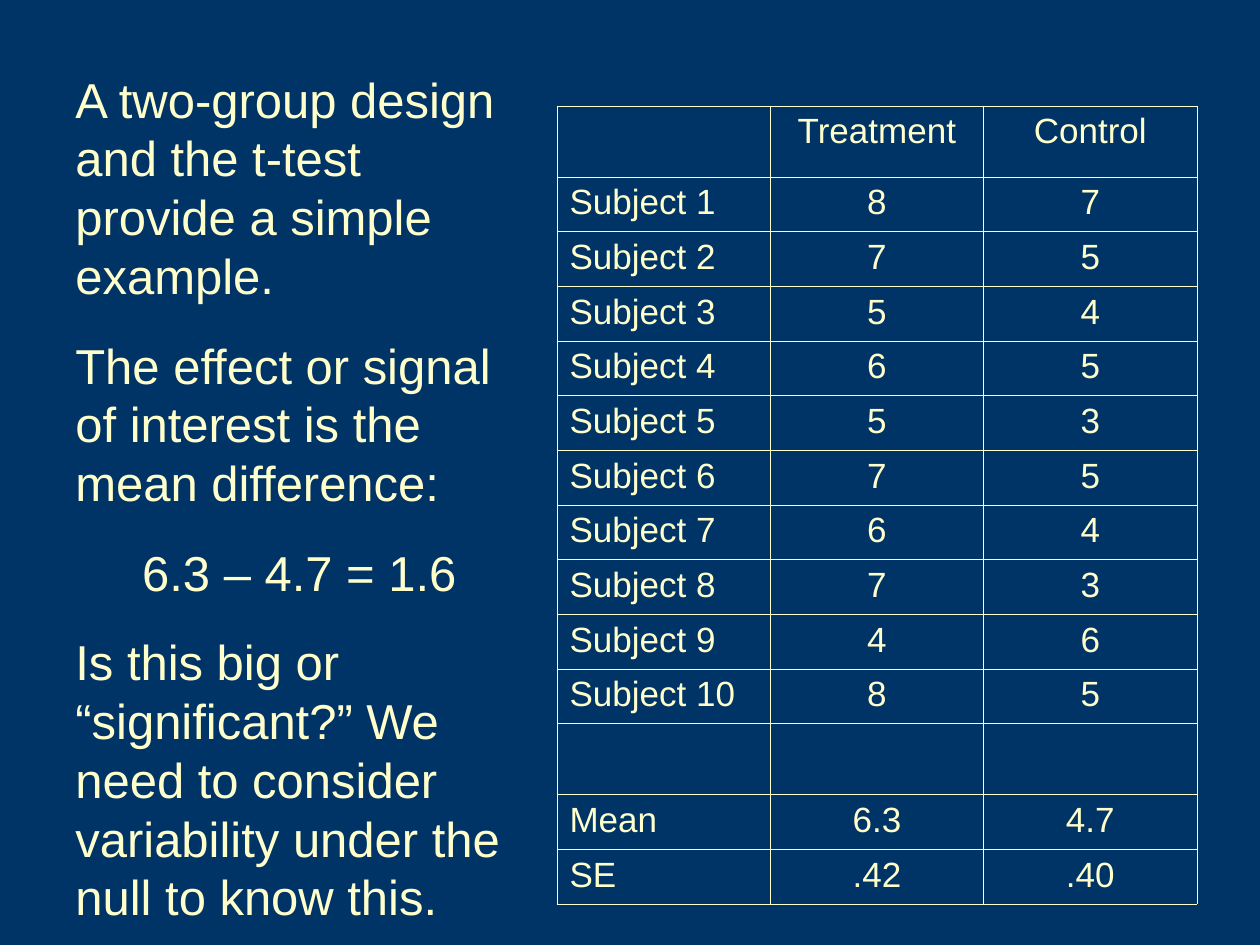
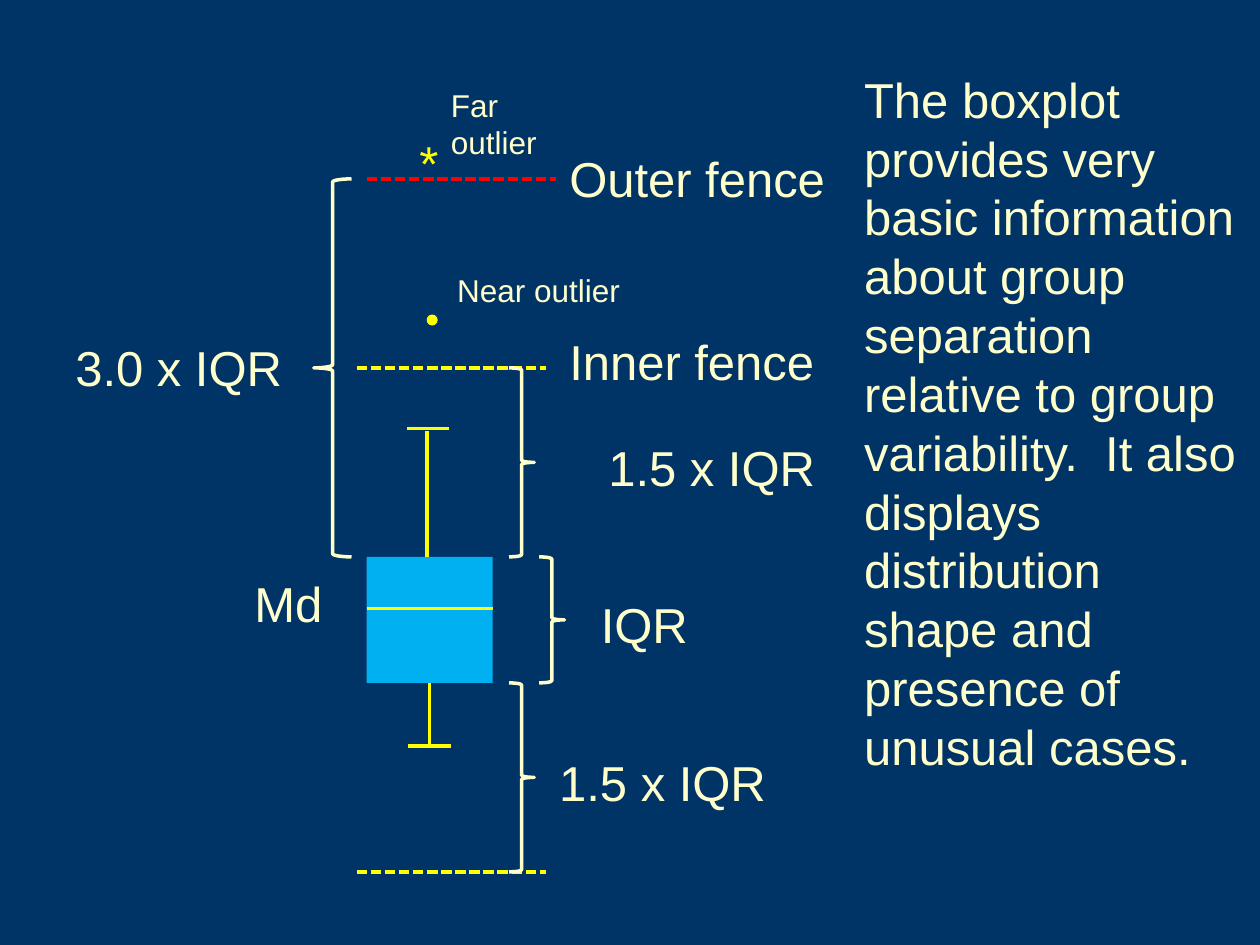
"""Build two slides: a two-group data table and an annotated boxplot."""
from lxml import etree
from pptx import Presentation
from pptx import util as u
from pptx.dml.color import RGBColor
from pptx.enum import dml, shapes, text
from pptx.oxml import ns

COLORS = {"navy": "003366", "cream": "FFFFCC", "yellow": "FFFF00", "red": "FF0000", "sky": "00B0F0"}
FONT = "Arial"
BODY, CELL, NOTE = 28, 20, 18
WIDTH, HEIGHT = 10, 7.5
LEFT, CENTER = text.PP_ALIGN.LEFT, text.PP_ALIGN.CENTER

ARGUMENT = [
    ("A two-group design and the t-test provide a simple example.", LEFT),
    ("The effect or signal of interest is the mean difference:", LEFT),
    ("6.3 – 4.7 = 1.6", CENTER),
    ("Is this big or “significant?” We need to consider variability under the null to know this.", LEFT),
]
TREATMENT = [8, 7, 5, 6, 5, 7, 6, 7, 4, 8]
CONTROL = [7, 5, 4, 5, 3, 5, 4, 3, 6, 5]
SCORES = [
    ("", "Treatment", "Control"),
    *((f"Subject {n}", str(t), str(c)) for n, (t, c) in enumerate(zip(TREATMENT, CONTROL), 1)),
    ("", "", ""),
    ("Mean", "6.3", "4.7"),
    ("SE", ".42", ".40"),
]
TABLE_AREA = (4.42, 0.84, 5.08, 6.34)
TALL_ROW = 1.3

SUMMARY = [(
    "The boxplot provides very basic information about group separation relative to group variability.  "
    "It also displays distribution shape and presence of unusual cases.", LEFT)]

IQR = 1
Q3 = 4.42
Q1 = Q3 + IQR
MEDIAN = 4.83
INNER, OUTER, LOWER = Q3 - 1.5 * IQR, Q3 - 3 * IQR, Q1 + 1.5 * IQR
BOX_LEFT, BOX_WIDTH = 2.91, 1
FENCE_WIDTH = 1.5

LINES = [
    (BOX_LEFT, MEDIAN, BOX_LEFT + BOX_WIDTH, MEDIAN, "yellow", False),
    (3.39, Q3, 3.39, 3.42, "yellow", False),
    (3.23, 3.4, 3.56, 3.4, "yellow", False),
    (3.41, Q1, 3.41, 5.92, "yellow", False),
    (3.24, 5.92, 3.58, 5.92, "yellow", False),
    *((left, y, left + FENCE_WIDTH, y, color, True) for left, y, color in [
        (2.83, INNER, "yellow"), (BOX_LEFT, OUTER, "red"), (2.83, LOWER, "yellow")]),
]
RIGHT_BRACE, LEFT_BRACE = shapes.MSO_SHAPE.RIGHT_BRACE, shapes.MSO_SHAPE.LEFT_BRACE
BRACES = [
    (RIGHT_BRACE, 4.04, INNER, 0.2, Q3),
    (RIGHT_BRACE, 4.04, Q1, 0.2, LOWER),
    (RIGHT_BRACE, 4.28, Q3, 0.2, Q1),
    (LEFT_BRACE, 2.49, OUTER, 0.3, Q3),
]
LABELS = [
    ("IQR", 4.67, 4.67, 0.89, BODY, "cream"),
    ("1.5 x IQR", 4.73, 3.42, 1.84, BODY, "cream"),
    ("3.0 x IQR", 0.5, 2.63, 1.84, BODY, "cream"),
    ("*", 3.23, 1, 0.35, BODY, "yellow"),
    ("Md", 1.92, 4.5, 0.74, BODY, "cream"),
    ("1.5 x IQR", 4.34, 5.92, 1.84, BODY, "cream"),
    ("Inner fence", 4.42, 2.58, 2.14, BODY, "cream"),
    ("Outer fence", 4.42, 1.13, 2.23, BODY, "cream"),
    ("Near outlier", 3.53, 2.1, 1.49, NOTE, "cream"),
    ("Far outlier", 3.48, 0.63, 1.32, NOTE, "cream"),
]


def rgb(name):
    return RGBColor.from_string(COLORS[name])


def inches(*lengths):
    return [u.Inches(length) for length in lengths]


def add_slide(deck):
    slide = deck.slides.add_slide(deck.slide_layouts[6])
    slide.background.fill.solid()
    slide.background.fill.fore_color.rgb = rgb("navy")
    return slide


def style(paragraph, size, color="cream", align=LEFT):
    paragraph.alignment = align
    for run in paragraph.runs:
        run.font.name, run.font.size = FONT, u.Pt(size)
        run.font.color.rgb = rgb(color)


def add_text(slide, area, paragraphs, size=BODY, color="cream", wrap=True):
    frame = slide.shapes.add_textbox(*inches(*area)).text_frame
    frame.word_wrap = wrap
    frame.auto_size = text.MSO_AUTO_SIZE.SHAPE_TO_FIT_TEXT
    frame.text = "\n".join(words for words, _ in paragraphs)
    for index, (paragraph, (_, align)) in enumerate(zip(frame.paragraphs, paragraphs)):
        style(paragraph, size, color, align)
        if index:
            paragraph.space_before = u.Pt(17.5)


def add_borders(cell):
    properties = cell._tc.get_or_add_tcPr()
    for position, side in enumerate(("lnL", "lnR", "lnT", "lnB")):
        border = etree.Element(ns.qn(f"a:{side}"), w=str(u.Pt(0.45)))
        fill = etree.SubElement(border, ns.qn("a:solidFill"))
        etree.SubElement(fill, ns.qn("a:srgbClr"), val=COLORS["cream"])
        properties.insert(position, border)


def add_scores(slide):
    columns = len(SCORES[0])
    table = slide.shapes.add_table(len(SCORES), columns, *inches(*TABLE_AREA)).table
    table.first_row = table.horz_banding = False
    shares = [1 if row[0] else TALL_ROW for row in SCORES]
    for column in table.columns:
        column.width = u.Inches(TABLE_AREA[2] / columns)
    for row, share, values in zip(table.rows, shares, SCORES):
        row.height = u.Inches(TABLE_AREA[3] * share / sum(shares))
        for index, (cell, value) in enumerate(zip(row.cells, values)):
            cell.text = value
            cell.fill.background()
            style(cell.text_frame.paragraphs[0], CELL, align=CENTER if index else LEFT)
            add_borders(cell)


def add_line(slide, x1, y1, x2, y2, color, dashed):
    line = slide.shapes.add_connector(shapes.MSO_CONNECTOR.STRAIGHT, *inches(x1, y1, x2, y2))
    line.line.color.rgb, line.line.width = rgb(color), u.Pt(2)
    if dashed:
        line.line.dash_style = dml.MSO_LINE.SQUARE_DOT
    etree.SubElement(line._element.spPr, ns.qn("a:effectLst"))


def add_shape(slide, preset, area, fill=None, line=None, weight=2):
    shape = slide.shapes.add_shape(preset, *inches(*area))
    shape.shadow.inherit = False
    if fill:
        shape.fill.solid()
        shape.fill.fore_color.rgb = rgb(fill)
    else:
        shape.fill.background()
    if line:
        shape.line.color.rgb, shape.line.width = rgb(line), u.Pt(weight)
    else:
        shape.line.fill.background()


def add_boxplot(slide):
    add_shape(slide, shapes.MSO_SHAPE.RECTANGLE, (BOX_LEFT, Q3, BOX_WIDTH, IQR), fill="sky")
    for line in LINES:
        add_line(slide, *line)
    for preset, left, top, width, bottom in BRACES:
        add_shape(slide, preset, (left, top, width, bottom - top), line="cream")
    add_shape(slide, shapes.MSO_SHAPE.OVAL, (3.39, 2.5, 0.08, 0.08), "yellow", "yellow", 0.5)
    for words, left, top, width, size, color in LABELS:
        height = 0.57 if size == BODY else 0.4
        add_text(slide, (left, top, width, height), [(words, LEFT)], size, color, wrap=False)


def main():
    deck = Presentation()
    deck.slide_width, deck.slide_height = inches(WIDTH, HEIGHT)
    design = add_slide(deck)
    add_text(design, (0.5, 0.5, 3.75, 6.9), ARGUMENT)
    add_scores(design)
    boxplot = add_slide(deck)
    add_boxplot(boxplot)
    add_text(boxplot, (6.76, 0.5, 3.15, 5.71), SUMMARY)
    deck.save("out.pptx")


if __name__ == "__main__":
    main()
